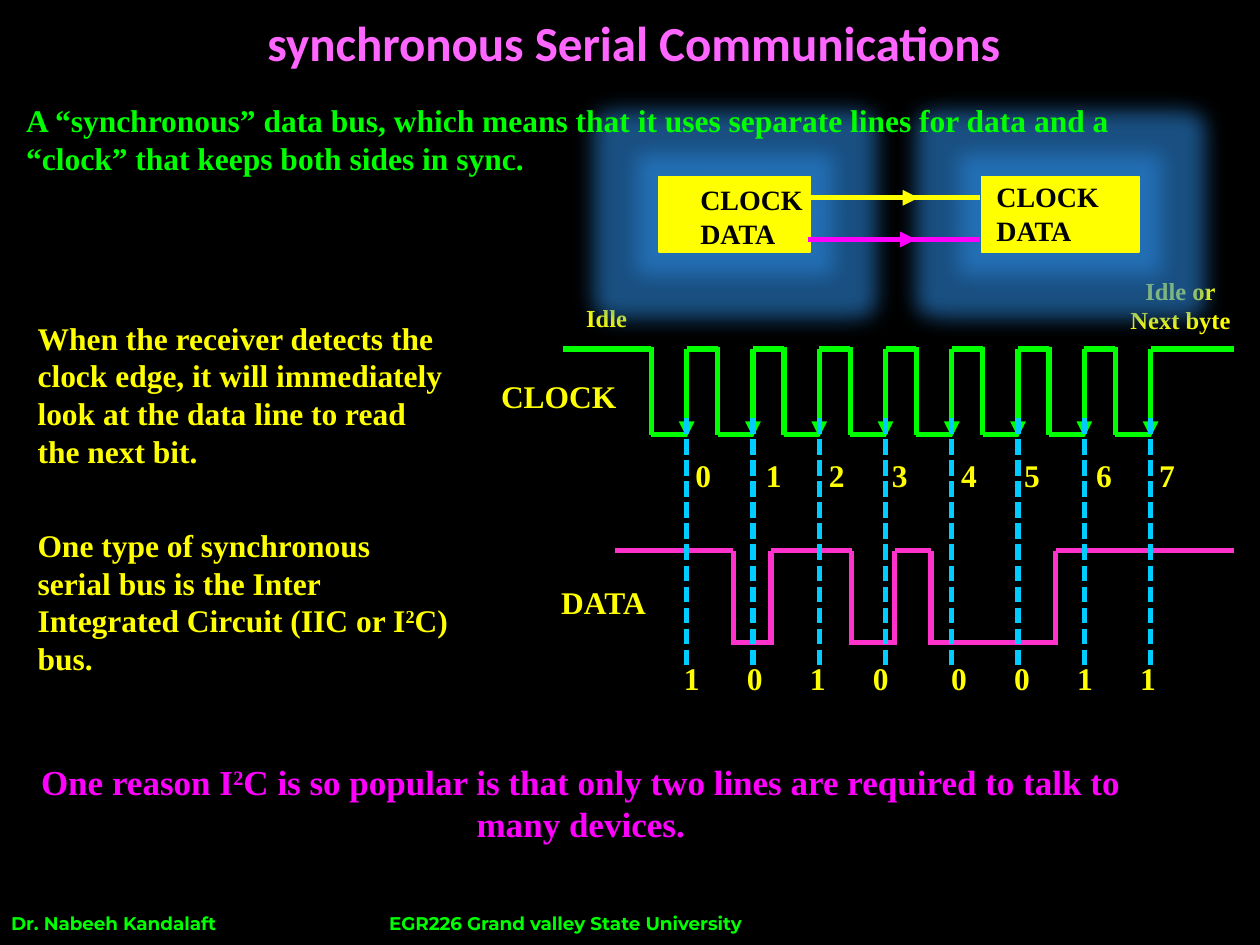
from lxml.etree import SubElement
from pptx import Presentation
from pptx.dml.color import RGBColor
from pptx.enum.dml import MSO_LINE
from pptx.enum.shapes import MSO_CONNECTOR, MSO_SHAPE
from pptx.enum.text import MSO_ANCHOR, MSO_AUTO_SIZE, PP_ALIGN
from pptx.oxml.ns import qn
from pptx.util import Inches, Pt

LEFT, CENTER = PP_ALIGN.LEFT, PP_ALIGN.CENTER
SERIF = "Times New Roman"
YELLOW, GREEN, MAGENTA, BLACK = "FFFF00", "00FF00", "FF00FF", "000000"
PINK, CYAN, GLOW = "FF33CC", "00CCFF", "2A85D8"
hex_color = RGBColor.from_string

presentation = Presentation()
presentation.slide_width, presentation.slide_height = Inches(10), Inches(7.5)
column = presentation.slide_width / 100
row = presentation.slide_height / 75
slide = presentation.slides.add_slide(presentation.slide_layouts[5])
slide.background.fill.solid()
slide.background.fill.fore_color.rgb = hex_color(BLACK)


def write(shape, box, text, size, color, font=SERIF, align=LEFT, wrap=True, tabs=(), gap=0):
    left, top, width, height = box
    shape.left, shape.width = int(left * column), int(width * column)
    shape.top, shape.height = int(top * row), int(height * row)
    frame = shape.text_frame
    frame.word_wrap = wrap
    frame.auto_size = MSO_AUTO_SIZE.NONE
    for index, line in enumerate(text.split("\n")):
        paragraph = frame.add_paragraph() if index else frame.paragraphs[0]
        paragraph.alignment = align
        if index:
            paragraph.space_before = Pt(gap)
        if tabs:
            tab_list = SubElement(paragraph._p.get_or_add_pPr(), qn("a:tabLst"))
            for position in tabs:
                SubElement(tab_list, qn("a:tab"), pos=str(int(position * column)), algn="l")
        for part, words in enumerate(line.split("^")):
            run = paragraph.add_run()
            run.text = words
            run.font.name, run.font.size, run.font.bold = font, Pt(size), True
            run.font.color.rgb = hex_color(color)
            if part % 2:
                run._r.get_or_add_rPr().set("baseline", "30000")


def draw_line(x1, y1, x2, y2, color, arrow=False, dotted=False):
    connector = slide.shapes.add_connector(
        MSO_CONNECTOR.STRAIGHT, int(x1 * column), int(y1 * row), int(x2 * column), int(y2 * row))
    connector.line.color.rgb = hex_color(color)
    connector.line.width = Pt(3)
    if dotted:
        connector.line.dash_style = MSO_LINE.SQUARE_DOT
    if arrow:
        SubElement(connector.line._get_or_add_ln(), qn("a:tailEnd"), type="triangle")
    SubElement(connector._element.spPr, qn("a:effectLst"))


title = slide.shapes.title
write(title, (0.3, 0.5, 100, 5.7), "synchronous Serial Communications", 28, "FF66FF", "Calibri", CENTER)
title.text_frame.vertical_anchor = MSO_ANCHOR.MIDDLE

footer = slide.shapes.add_textbox(0, 0, 0, 0)
write(footer, (-0.1, 71.9, 100, 2.8), "Dr. Nabeeh Kandalaft\tEGR226 Grand valley State University",
      10.5, GREEN, "Montserrat", tabs=[30])

data_high, data_low = 43.7, 51
data_edges = [48.8, 58.2, 61.2, 76, 97.9]
data_edges = [48.8, 58.2, 61.2, 67.6, 71, 73.9, 83.8, 97.9]
for index, (start, end) in enumerate(zip(data_edges, data_edges[1:])):
    level = data_low if index % 2 else data_high
    draw_line(start, level, end, level, PINK)
    if index:
        draw_line(start, data_high, start, data_low + 0.2, PINK)

for box, text, size in [
    ((43.5, 45.8, 8.8, 4), "DATA", 18),
    ((45.5, 23.6, 5.3, 3.4), "Idle", 14),
    ((88.7, 21.4, 10, 5.7), "Idle or\nNext byte", 14),
    ((38.7, 29.4, 11.3, 4), "CLOCK", 18),
]:
    write(slide.shapes.add_textbox(0, 0, 0, 0), box, text, size, YELLOW, align=CENTER, wrap=False)

for left, width in [(77.9, 12.5), (52.3, 12)]:
    device = slide.shapes.add_shape(
        MSO_SHAPE.RECTANGLE, int(left * column), int(14 * row), int(width * column), int(6 * row))
    device.fill.solid()
    device.fill.fore_color.rgb = hex_color(YELLOW)
    device.line.color.rgb = hex_color(YELLOW)
    device.line.width = Pt(0.75)
    device.shadow.inherit = False
    effects = device._element.spPr.find(qn("a:effectLst"))
    glow = SubElement(effects, qn("a:glow"), rad=str(int(3.5 * column)))
    glow_color = SubElement(glow, qn("a:srgbClr"), val=GLOW)
    SubElement(glow_color, qn("a:alpha"), val="60000")

for left, top in [(54.6, 14), (78.1, 13.8)]:
    write(slide.shapes.add_textbox(0, 0, 0, 0), (left, top, 10.2, 6.4), "CLOCK\nDATA", 16, BLACK, wrap=False)

for start, level, color in [(64.3, 15.7, YELLOW), (64.1, 19, MAGENTA)]:
    draw_line(start, level, start + 8.6, level, color, arrow=True)
    draw_line(start + 8, level, 77.8, level, color)

bits, period = 8, 5.26
clock_high, clock_low = 27.7, 34.5
first_fall, first_rise = 51.7, 54.5
draw_line(44.7, clock_high, first_fall, clock_high, GREEN)
for bit in range(bits):
    fall, rise = first_fall + bit * period, first_rise + bit * period
    high_end = fall + period if bit < bits - 1 else 97.9
    draw_line(fall, clock_high - 0.2, fall, clock_low, GREEN)
    draw_line(fall, clock_low, rise, clock_low, GREEN)
    draw_line(rise, clock_high, rise, clock_low + 0.2, GREEN, arrow=True)
    draw_line(rise, clock_high, high_end, clock_high, GREEN)
for bit in range(bits):
    sample = first_rise + bit * period
    draw_line(sample, 33.2, sample, 53.2, CYAN, dotted=True)

for left, top, digits, tabs in [
    (54.2, 35.7, "01234567", [5.6, 10.6, 15.6, 21.1, 26.1, 31.8, 36.8]),
    (53.3, 51.8, "10100011", [5, 10, 15, 21.2, 26.2, 31.2, 36.2]),
]:
    write(slide.shapes.add_textbox(0, 0, 0, 0), (left, top, 43.1, 4), "\t".join(digits), 18, YELLOW, tabs=tabs)

for box, text, size, color, align in [
    ((1.1, 7.5, 90, 7.2), "A “synchronous” data bus, which means that it uses separate lines for data and a "
     "“clock” that keeps both sides in sync.", 18, GREEN, LEFT),
    ((2, 24.8, 34.7, 30), "When the receiver detects the clock edge, it will immediately look at the data line "
     "to read the next bit.\nOne type of synchronous serial bus is the Inter Integrated Circuit "
     "(IIC or I^2^C) bus.", 18, YELLOW, LEFT),
    ((1.1, 59.9, 90, 8), "One reason I^2^C is so popular is that only two lines are required to talk to "
     "many devices.", 20, MAGENTA, CENTER),
]:
    write(slide.shapes.add_textbox(0, 0, 0, 0), box, text, size, color, align=align, gap=32)

presentation.save("out.pptx")
